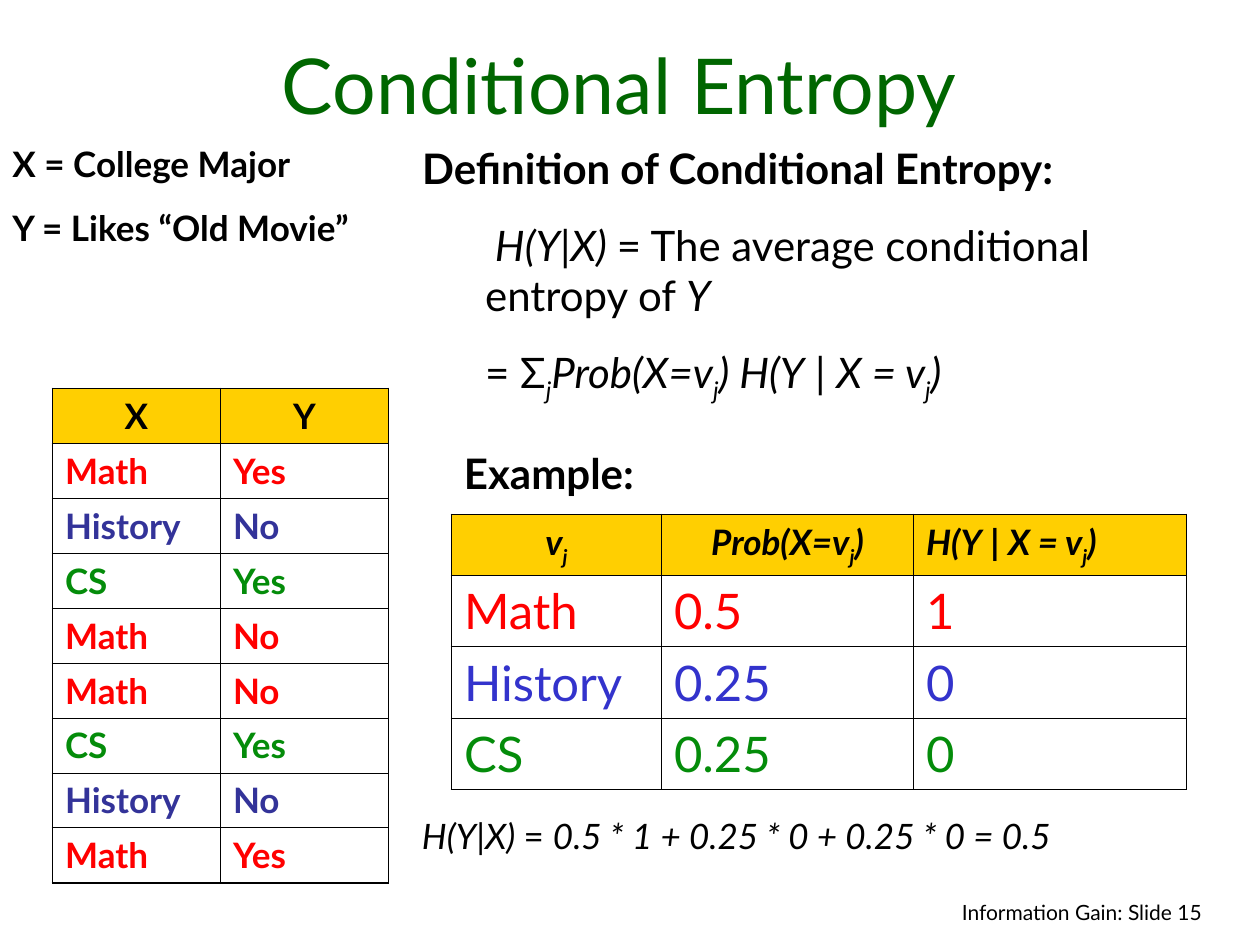
from lxml import etree
from pptx import Presentation
from pptx.dml.color import RGBColor
from pptx.enum.text import MSO_ANCHOR, MSO_AUTO_SIZE, PP_ALIGN
from pptx.oxml.ns import qn
from pptx.util import Pt

LEFT, CENTER, RIGHT = PP_ALIGN.LEFT, PP_ALIGN.CENTER, PP_ALIGN.RIGHT
BOTTOM, TOP = MSO_ANCHOR.BOTTOM, MSO_ANCHOR.TOP
FIXED = MSO_AUTO_SIZE.NONE

FONT = "Lato"
BLACK, GREEN, GOLD = "000000", "006600", "FFCF01"
THIN, THICK = 0.45, 1.08

# A line is a list of (text, style): i = italic, s = subscript
V_J = [("v", "i"), ("j", "is")]
PROB = [("Prob(X=v", "i"), ("j", "is"), (")", "i")]
COND = [("H(Y", "i"), (" | ", ""), ("X = v", "i"), ("j", "is"), (")", "i")]

TITLE = "Conditional Entropy"
DEFINITION = [
    [("Definition of Conditional Entropy:", "")],
    [(" H(Y", "i"), ("|", ""), ("X) ", "i"),
     ("= The average conditional entropy of ", ""), ("Y", "i")],
    [("= Σ", ""), ("j", "is"), *PROB[:2], (") ", "i"), *COND],
]
VARIABLES = ["X = College Major", "Y = Likes “Old Movie”"]
RESULT = [("H(Y", "i"), ("|", ""), ("X) ", "i"), ("= ", ""),
          ("0.5 * 1 + 0.25 * 0 + 0.25 * 0 = 0.5", "i")]

RECORDS = [("X", "Y"), ("Math", "Yes"), ("History", "No"), ("CS", "Yes"),
           ("Math", "No"), ("Math", "No"), ("CS", "Yes"),
           ("History", "No"), ("Math", "Yes")]
RECORD_INK = {"Math": "FF0000", "History": "333399", "CS": "048C0A"}
EXAMPLE = [(V_J, PROB, COND), ("Math", "0.5", "1"),
           ("History", "0.25", "0"), ("CS", "0.25", "0")]
EXAMPLE_INK = RECORD_INK | {"History": "3333CC"}


def rgb(code):
    return RGBColor.from_string(code)


def write(para, line, size, ink=BLACK, bold=False, align=LEFT, before=0):
    para.alignment = align
    para.space_before = Pt(before)
    font = para.font
    font.name, font.size, font.bold = FONT, Pt(size), bold
    font.color.rgb = rgb(ink)
    for text, style in [(line, "")] if isinstance(line, str) else line:
        run = para.add_run()
        run.text = text
        run.font.italic = "i" in style
        if "s" in style:
            run.font._element.set("baseline", "-25000")


def place(shape, left, top, width, height):
    shape.left, shape.top = Pt(left), Pt(top)
    shape.width, shape.height = Pt(width), Pt(height)


def add_text(slide, box, lines, size, gap=0, **look):
    frame = slide.shapes.add_textbox(*map(Pt, box)).text_frame
    frame.word_wrap = True
    for i, line in enumerate(lines):
        para = frame.add_paragraph() if i else frame.paragraphs[0]
        write(para, line, size, before=gap if i else 0, **look)


def add_border(cell, side, width):
    props = cell._tc.get_or_add_tcPr()
    edge = etree.SubElement(props, qn("a:ln" + side), w=str(Pt(width)))
    fill = etree.SubElement(edge, qn("a:solidFill"))
    etree.SubElement(fill, qn("a:srgbClr"), val=BLACK)


def add_grid(slide, left, top, widths, heights, data, inks, size, bold, heads):
    """Table with a gold head row; each body row is coloured by its first cell."""
    rows, cols = len(heights), len(widths)
    table = slide.shapes.add_table(rows, cols, Pt(left), Pt(top),
                                   Pt(sum(widths)), Pt(sum(heights))).table
    table.first_row = table.horz_banding = False
    for col, width in zip(table.columns, widths):
        col.width = Pt(width)
    for row, height in zip(table.rows, heights):
        row.height = Pt(height)
    for r, line in enumerate(data):
        for c, text in enumerate(line):
            cell = table.cell(r, c)
            outer = {"L": c == 0, "R": c == cols - 1,
                     "T": r == 0, "B": r == rows - 1}
            for side, edge in outer.items():
                add_border(cell, side, THICK if edge else THIN)
            para = cell.text_frame.paragraphs[0]
            if r == 0:
                cell.fill.solid()
                cell.fill.fore_color.rgb = rgb(GOLD)
                write(para, text, 20, bold=True, align=heads[c])
            else:
                cell.fill.background()
                write(para, text, size, inks[line[0]], bold)


def main():
    deck = Presentation()
    deck.slide_width, deck.slide_height = Pt(720), Pt(540)
    slide = deck.slides.add_slide(deck.slide_layouts[1])
    title, body = slide.placeholders

    place(title, 18, 18, 672, 60)
    title.text_frame.vertical_anchor = BOTTOM
    title.text_frame.auto_size = FIXED
    write(title.text_frame.paragraphs[0], TITLE, 44, GREEN, align=CENTER)

    place(body, 234, 78, 444, 156)
    frame = body.text_frame
    frame.vertical_anchor, frame.auto_size = TOP, FIXED
    for i, line in enumerate(DEFINITION):
        para = frame.add_paragraph() if i else frame.paragraphs[0]
        para.level = min(i, 1)
        props = para._p.get_or_add_pPr()
        props.set("marL", str(Pt(36 * para.level)))
        props.set("indent", "0")
        etree.SubElement(props, qn("a:buNone"))
        write(para, line, 24, bold=i == 0, before=15 if i else 0)

    add_text(slide, (0, 78, 234, 104), VARIABLES, 20, gap=12.5, bold=True)
    add_text(slide, (258, 252, 162, 36), ["Example:"], 24, bold=True)
    add_grid(slide, 258, 294, [120, 144, 156], [34.6] + [40.9] * 3,
             EXAMPLE, EXAMPLE_INK, 28, False, [CENTER, CENTER, LEFT])
    add_text(slide, (234, 462, 456, 32), [RESULT], 20)
    add_grid(slide, 30, 222, [96] * 2, [31.4] * len(RECORDS),
             RECORDS, RECORD_INK, 20, True, [CENTER] * 2)
    add_text(slide, (412, 510.5, 282, 24), ["Information Gain: Slide 15"], 12,
             align=RIGHT)
    deck.save("out.pptx")


if __name__ == "__main__":
    main()
